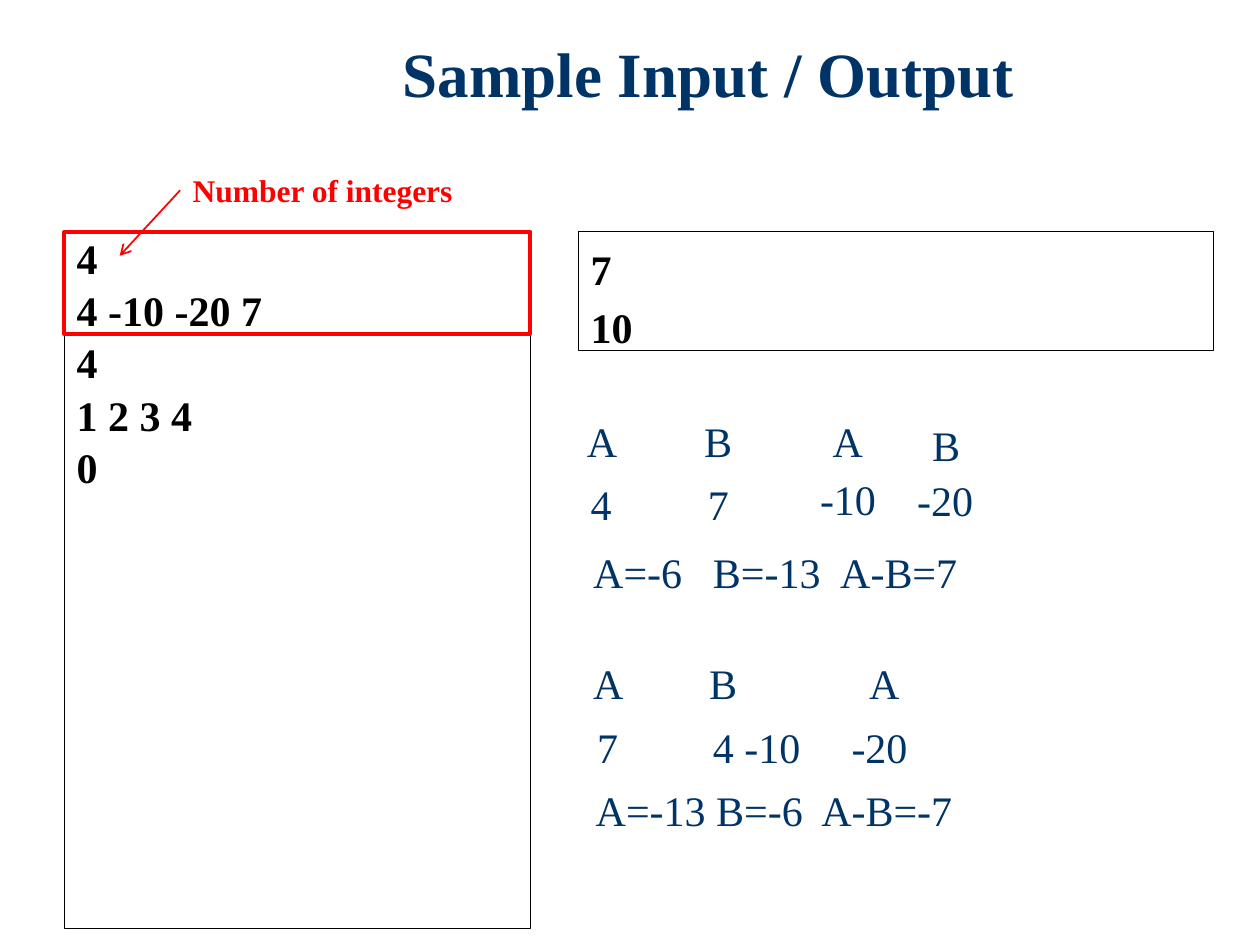
from dataclasses import dataclass

import lxml.etree
import pptx
import pptx.dml.color
import pptx.enum.shapes
import pptx.enum.text
import pptx.oxml.ns
import pptx.util

COLUMNS, ROWS = 100, 75  # square grid cells, a tenth of an inch each
CELL = pptx.util.Inches(0.1)
FONT = "Times New Roman"
NAVY, RED, BLACK, WHITE = "003366", "FF0000", "000000", "FFFFFF"
ALIGN = pptx.enum.text.PP_ALIGN
ANCHOR = pptx.enum.text.MSO_ANCHOR


@dataclass
class Area:
    col: float
    row: float
    cols: float
    rows: float

    def lengths(self) -> list[int]:
        return [cells(n) for n in (self.col, self.row, self.cols, self.rows)]


@dataclass
class Label:
    text: str
    col: float
    row: float
    cols: float
    tabs: tuple[float, ...] = ()
    rows: float = 5
    size: int = 24
    color: str = NAVY
    bold: bool = False


@dataclass
class Panel:
    area: Area
    lines: tuple[str, ...] = ()
    fill: str | None = WHITE
    line: str = BLACK
    line_width: float = 0.75
    line_spacing: pptx.util.Pt | None = None
    top_inset: float = 0.5


INPUT_AREA = Area(5.1, 18.4, 37, 55.3)
PANELS = (
    Panel(INPUT_AREA, ("4", "4 -10 -20 7", "4", "1 2 3 4", "0"),
          line_spacing=pptx.util.Pt(25), top_inset=0.6),
    Panel(Area(45.9, 18.4, 50.4, 9.4), ("7", "10"), top_inset=0.9),
)
FIRST_CASE = Panel(Area(INPUT_AREA.col, INPUT_AREA.row, INPUT_AREA.cols, 8.1),
                   fill=None, line=RED, line_width=2.25)
COUNT_NOTE = Label("Number of integers", 14.3, 13.1, 22.9, rows=4, size=18, color=RED, bold=True)
COUNT_POINT = (9.5, 20.3)

GAMES = (
    Label("A", 45.6, 32.5, 4.5), Label("B", 54.9, 32.5, 4.3),
    Label("A", 65.1, 32.5, 4.5), Label("B", 73, 32.8, 4.3),
    Label("4", 45.9, 37.5, 3.7), Label("7", 55.2, 37.5, 3.7),
    Label("-10", 64.1, 37.1, 6.5), Label("-20", 71.8, 37.2, 6.5),
    Label("A=-6\tB=-13\tA-B=7", 46.1, 42.9, 31.2, tabs=(9.5, 19.6)),
    Label("A", 46.1, 51.7, 4.5), Label("B", 55.3, 51.7, 4.3), Label("A", 68, 51.7, 4.5),
    Label("7", 46.4, 56.8, 3.7), Label("4 -10", 55.6, 56.8, 9), Label("-20", 66.6, 56.8, 6.5),
    Label("A=-13 B=-6\tA-B=-7", 46.3, 61.8, 30.6, tabs=(17.9,)),
)


def cells(count: float) -> int:
    return round(count * CELL)


def rgb(color: str) -> pptx.dml.color.RGBColor:
    return pptx.dml.color.RGBColor.from_string(color)


def apply(target, **values) -> None:
    for key, value in values.items():
        setattr(target, key, value)


def format_font(font, size: float, color: str, bold: bool) -> None:
    apply(font, name=FONT, size=pptx.util.Pt(size), bold=bold)
    font.color.rgb = rgb(color)


def add_title(slide, text: str, area: Area) -> None:
    title = slide.shapes.title
    apply(title, **dict(zip(("left", "top", "width", "height"), area.lengths())))
    title.text_frame.text = text
    title.text_frame.vertical_anchor = ANCHOR.TOP
    paragraph = title.text_frame.paragraphs[0]
    apply(paragraph, alignment=ALIGN.CENTER, line_spacing=0.9)
    format_font(paragraph.font, 36, NAVY, True)


def add_panel(slide, panel: Panel) -> None:
    shape = slide.shapes.add_shape(pptx.enum.shapes.MSO_SHAPE.RECTANGLE, *panel.area.lengths())
    shape.shadow.inherit = False
    if panel.fill:
        shape.fill.solid()
        shape.fill.fore_color.rgb = rgb(panel.fill)
    else:
        shape.fill.background()
    shape.line.color.rgb = rgb(panel.line)
    shape.line.width = pptx.util.Pt(panel.line_width)
    if not panel.lines:
        return
    frame = shape.text_frame
    apply(frame, text="\n".join(panel.lines), word_wrap=True,
          vertical_anchor=ANCHOR.TOP, margin_top=cells(panel.top_inset))
    for index, paragraph in enumerate(frame.paragraphs):
        apply(paragraph, alignment=ALIGN.JUSTIFY, line_spacing=panel.line_spacing)
        if index:
            paragraph.space_before = pptx.util.Pt(4.8)
        format_font(paragraph.font, 24, BLACK, True)


def add_label(slide, label: Label):
    box = slide.shapes.add_textbox(*Area(label.col, label.row, label.cols, label.rows).lengths())
    frame = box.text_frame
    apply(frame, text=label.text, word_wrap=False,
          auto_size=pptx.enum.text.MSO_AUTO_SIZE.SHAPE_TO_FIT_TEXT)
    paragraph = frame.paragraphs[0]
    if label.tabs:
        properties = paragraph._p.get_or_add_pPr()
        stops = lxml.etree.SubElement(properties, pptx.oxml.ns.qn("a:tabLst"))
        for position in label.tabs:
            lxml.etree.SubElement(stops, pptx.oxml.ns.qn("a:tab"),
                                  pos=str(cells(position)), algn="l")
    format_font(paragraph.font, label.size, label.color, label.bold)
    return box


def add_arrow_from(slide, note, point: tuple[float, float]) -> None:
    end = [cells(n) for n in point]
    arrow = slide.shapes.add_connector(
        pptx.enum.shapes.MSO_CONNECTOR.STRAIGHT, note.left, note.top + note.height // 2, *end)
    arrow.begin_connect(note, 1)
    arrow.line.color.rgb = rgb(RED)
    arrow.line.width = pptx.util.Pt(1)
    lxml.etree.SubElement(arrow.line._get_or_add_ln(), pptx.oxml.ns.qn("a:tailEnd"), type="arrow")
    lxml.etree.SubElement(arrow._element.spPr, pptx.oxml.ns.qn("a:effectLst"))


def main() -> None:
    deck = pptx.Presentation()
    apply(deck, slide_width=cells(COLUMNS), slide_height=cells(ROWS))
    slide = deck.slides.add_slide(deck.slide_layouts.get_by_name("Title Only"))
    add_title(slide, "Sample Input / Output", Area(29.8, 2.9, 52.8, 9.2))
    for panel in PANELS:
        add_panel(slide, panel)
    add_arrow_from(slide, add_label(slide, COUNT_NOTE), COUNT_POINT)
    add_panel(slide, FIRST_CASE)
    for label in GAMES:
        add_label(slide, label)
    deck.save("out.pptx")


if __name__ == "__main__":
    main()
